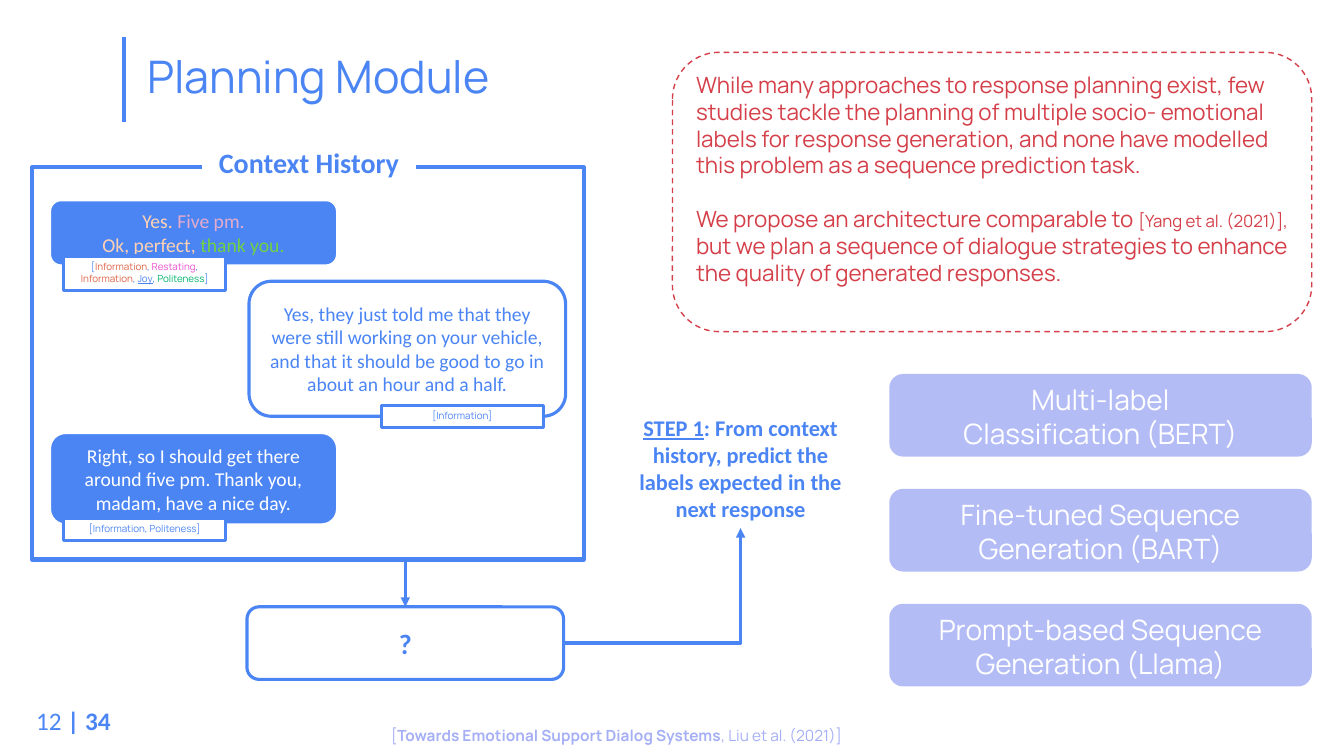
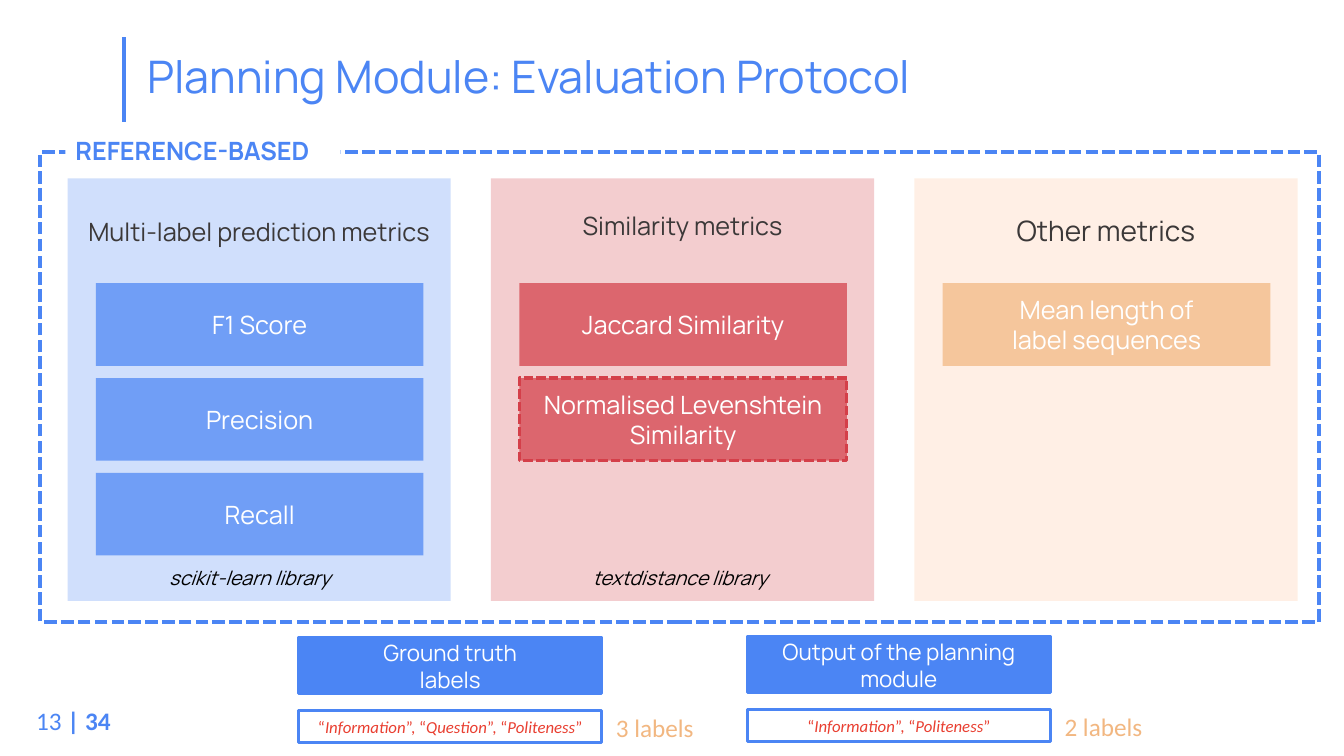
from lxml import etree
from pptx import Presentation
from pptx.dml.color import RGBColor
from pptx.enum import dml, shapes, text
from pptx.oxml.ns import qn
from pptx.util import Inches, Pt

# Shared look
BLUE, RED, PEACH, LILAC = "4B85F4", "D43F49", "F2B781", "A5AFF5"
WHITE, DARK, BLACK = "FFFFFF", "3B3838", "000000"
SANS, BODY = "Manrope", "Calibri"
TOTAL_PAGES = 34
RECT = shapes.MSO_SHAPE.RECTANGLE
ROUND = shapes.MSO_SHAPE.ROUNDED_RECTANGLE
LEFT, CENTER, JUSTIFY = (text.PP_ALIGN.LEFT, text.PP_ALIGN.CENTER,
                         text.PP_ALIGN.JUSTIFY)
TOP, MIDDLE = text.MSO_ANCHOR.TOP, text.MSO_ANCHOR.MIDDLE


def rgb(colour):
    return RGBColor.from_string(colour)


def inches(values):
    return [Inches(value) for value in values]


# Text
def add_span(para, words, size, font, colour, bold=False, italic=False,
             underline=False):
    """Add one run, or one run per line where the words hold line breaks."""
    for index, line in enumerate(words.split("\n")):
        if index:
            para.add_line_break()
        if not line:
            continue
        span = para.add_run()
        span.text = line
        style = span.font
        style.size, style.name = Pt(size), font
        style.color.rgb = rgb(colour)
        style.bold, style.italic, style.underline = bold, italic, underline


def write(shape, paras, size, font=BODY, colour=BLUE, align=CENTER,
          anchor=TOP, wrap=True, gap=0, inset_top=0.05, **style):
    """Paragraphs are lists of spans: plain words or (words, overrides)."""
    frame = shape.text_frame
    frame.word_wrap, frame.vertical_anchor = wrap, anchor
    frame.margin_top = Inches(inset_top)
    for index, spans in enumerate(paras):
        para = frame.paragraphs[0] if index == 0 else frame.add_paragraph()
        para.alignment = align if index == 0 or not gap else JUSTIFY
        if index and gap:
            para.space_before = Pt(gap)
        for span in spans:
            words, own = (span, {}) if isinstance(span, str) else span
            base = {"size": size, "font": font, "colour": colour, **style}
            add_span(para, words, **{**base, **own})


def add_label(page, at, spans, size, **style):
    """Single-line text box."""
    box = page.shapes.add_textbox(*inches(at))
    write(box, [spans], size, align=LEFT, wrap=False, **style)
    box.text_frame.auto_size = text.MSO_AUTO_SIZE.SHAPE_TO_FIT_TEXT


# Shapes and lines
def add_box(page, at, kind=RECT, fill=None, opacity=100, line=None,
            weight=2.25, dash=None):
    box = page.shapes.add_shape(kind, *inches(at))
    box.shadow.inherit = False
    if fill:
        box.fill.solid()
        box.fill.fore_color.rgb = rgb(fill)
        if opacity < 100:
            colour = box.element.spPr.find(qn("a:solidFill"))[0]
            alpha = etree.SubElement(colour, qn("a:alpha"))
            alpha.set("val", str(opacity * 1000))
    else:
        box.fill.background()
    if line:
        box.line.color.rgb = rgb(line)
        box.line.width = Pt(weight)
        if dash:
            box.line.dash_style = dash
    else:
        box.line.fill.background()
    return box


def add_line(page, start, end, kind=shapes.MSO_CONNECTOR.STRAIGHT,
             arrow=False):
    line = page.shapes.add_connector(kind, *inches(start + end))
    line.line.color.rgb = rgb(BLUE)
    line.line.width = Pt(2.25)
    properties = line.element.spPr
    if arrow:
        outline = properties.find(qn("a:ln"))
        etree.SubElement(outline, qn("a:tailEnd")).set("type", "triangle")
    etree.SubElement(properties, qn("a:effectLst"))
    return line


def add_page(deck, number, heading):
    """Page with the shared title, title rule and page number."""
    page = deck.slides.add_slide(deck.slide_layouts[5])
    title = page.shapes.title
    title.left, title.top, title.width, title.height = inches(
        (1.36, 0.06, 11.5, 1.45))
    write(title, [[heading]], 32, SANS, align=LEFT, anchor=MIDDLE)
    title.text_frame.auto_size = text.MSO_AUTO_SIZE.NONE
    title.text_frame.paragraphs[0].line_spacing = 0.9
    add_line(page, (1.23, 0.37), (1.23, 1.21))
    add_label(page, (0.26, 6.95, 0.99, 0.4),
              [f"{number} ", (f"| {TOTAL_PAGES}", {"bold": True})], 18)
    return page


# Planning page
def add_bubble(page, at, paras, filled):
    if filled:
        box = add_box(page, at, ROUND, BLUE, line=WHITE, weight=1)
    else:
        box = add_box(page, at, ROUND, WHITE, line=BLUE)
    write(box, paras, 14, colour=WHITE if filled else BLUE, anchor=MIDDLE)


def add_tag(page, left, top, spans, height=0.22):
    box = add_box(page, (left, top, 1.61, height), fill=WHITE, line=BLUE)
    write(box, [spans], 7, SANS)


def add_dialogue(page):
    add_box(page, (0.32, 1.66, 5.47, 3.89), line=BLUE, weight=3)
    heading = add_box(page, (2.01, 1.39, 2.11, 0.45), fill=WHITE, line=WHITE,
                      weight=1)
    write(heading, [["Context History"]], 20, bold=True)

    cream, pink, green = ({"colour": c} for c in ("FFD2B2", "E3ABCC", "70D141"))
    add_bubble(page, (0.5, 1.99, 2.84, 0.64), [
        [("Yes. ", cream), ("Five pm.", pink)],
        [("Ok, ", cream), ("perfect", {**cream, "underline": True}),
         (", ", cream), ("thank you.", green)],
    ], True)
    add_bubble(page, (2.47, 2.79, 3.14, 1.34), [[
        "Yes, they just told me that they were still working on your vehicle, "
        "and that it should be good to go in about an hour and a half."]], False)
    add_bubble(page, (0.5, 4.3, 2.84, 0.9), [[
        "Right, so I should get there around five pm. Thank you, madam, "
        "have a nice day."]], True)

    information = ("Information", {"colour": "DF6245"})
    add_tag(page, 0.63, 2.54, [
        "[", information, ", ", ("Restating", {"colour": "EC4DCE"}), ",\n",
        information, ", ", ("Joy", {"underline": True}), ", ",
        ("Politeness", {"colour": "00B26D"}), "]"], height=0.34)
    add_tag(page, 3.78, 4.02, ["[Information]"])
    add_tag(page, 0.63, 5.14, ["[Information, Politeness]"])


def add_flow(page):
    question = add_box(page, (2.45, 6.02, 3.14, 0.72), ROUND, WHITE, line=BLUE)
    write(question, [["?"]], 20, anchor=MIDDLE, bold=True)
    step = add_box(page, (6.22, 4.06, 2.25, 1.18), fill=WHITE)
    write(step, [[("STEP 1", {"underline": True}),
                  ": From context history, predict the labels expected in the "
                  "next response"]], 16, bold=True)
    down = add_line(page, (4.02, 5.54), (4.02, 6.02), arrow=True)
    down.end_connect(question, 0)
    bend = add_line(page, (5.59, 6.38), (7.35, 5.24),
                    shapes.MSO_CONNECTOR.ELBOW, arrow=True)
    bend.element.spPr.find(qn("a:prstGeom")).set("prst", "bentConnector2")
    bend.begin_connect(question, 3)
    bend.end_connect(step, 2)


def build_planning(deck):
    page = add_page(deck, 12, "Planning Module")
    add_dialogue(page)
    add_flow(page)

    # Candidate models
    models = ("Multi-label\nClassification (BERT)",
              "Fine-tuned Sequence Generation (BART)",
              "Prompt-based Sequence Generation (Llama)")
    for row, model in enumerate(models):
        box = add_box(page, (8.82, 3.71 + 1.14 * row, 4.19, 0.82), ROUND,
                      LILAC, 83)
        write(box, [[model]], 20, SANS, WHITE)

    # Motivation and citation
    motivation = add_box(page, (6.67, 0.52, 6.34, 2.77), ROUND, WHITE, 83, RED,
                         1, dml.MSO_LINE.DASH)
    write(motivation, [
        ["While many approaches to response planning exist, few studies tackle "
         "the planning of multiple socio- emotional labels for response "
         "generation, and none have modelled this problem as a sequence "
         "prediction task."],
        ["We propose an architecture comparable to ",
         ("[Yang et al. (2021)], ", {"size": 12}),
         "but we plan a sequence of dialogue strategies to enhance the quality "
         "of generated responses."],
    ], 16, SANS, RED, LEFT, gap=19)
    add_label(page, (3.78, 7.15, 4.98, 0.29), [
        "[", ("Towards Emotional Support Dialog Systems", {"bold": True}),
        ", Liu et al. (2021)]"], 11, font=SANS, colour=LILAC)


# Evaluation page
def add_metric_column(page, column, heading, size, inset, tint, card_fill,
                      metrics, outlined=None):
    left = 0.67 + 4.2 * column
    panel = add_box(page, (left, 1.77, 3.8, 4.19), fill=tint, opacity=26)
    write(panel, [[heading]], size, SANS, DARK, inset_top=inset)
    for row, metric in enumerate(metrics):
        edge = RED if metric == outlined else None
        card = add_box(page, (left + 0.28, 2.81 + 0.94 * row, 3.25, 0.82),
                       fill=card_fill, opacity=72, line=edge,
                       dash=dml.MSO_LINE.SQUARE_DOT)
        write(card, [[metric]], 18, SANS, WHITE, anchor=MIDDLE)


def add_example(page, left, top, heading, labels):
    """Heading, quoted label sequence and label count."""
    header = add_box(page, (left, top, 3.01, 0.55), fill=BLUE, line=BLUE)
    write(header, [[heading]], 16, SANS, WHITE, anchor=MIDDLE)
    sequence = add_box(page, (left, top + 0.72, 3.01, 0.32), fill=WHITE,
                       line=BLUE)
    spans = ["“"]
    for index, label in enumerate(labels):
        if index:
            spans.append("”, “")
        spans.append((label, {"italic": True}))
    write(sequence, [spans + ["”"]], 12, colour="E93F31", anchor=MIDDLE)
    add_label(page, (left + 3.05, top + 0.69, 0.98, 0.4),
              [f"{len(labels)} labels"], 18, colour=PEACH)


def build_evaluation(deck):
    page = add_page(deck, 13, "Planning Module: Evaluation Protocol")
    add_box(page, (0.4, 1.51, 12.68, 4.66), fill=WHITE, line=BLUE, weight=3,
            dash=dml.MSO_LINE.SQUARE_DOT)
    group = add_box(page, (0.65, 1.29, 2.73, 0.4), fill=WHITE)
    write(group, [["REFERENCE-BASED"]], 18, SANS, align=LEFT, bold=True)

    # Metric families
    levenshtein = "Normalised Levenshtein Similarity"
    add_metric_column(page, 0, "Multi-label prediction metrics", 18, 0.38,
                      BLUE, BLUE, ("F1 Score", "Precision", "Recall"))
    add_metric_column(page, 1, "Similarity metrics", 18, 0.32, RED, RED,
                      ("Jaccard Similarity", levenshtein), levenshtein)
    add_metric_column(page, 2, "Other metrics", 20, 0.35, "FFC49B", PEACH,
                      ("Mean length of\nlabel sequences",))
    for left, width, library in ((1.58, 1.98, "scikit-learn"),
                                 (5.78, 2.1, "textdistance")):
        add_label(page, (left, 5.57, width, 0.34), [f"{library} library"], 14,
                  font=SANS, colour=BLACK, italic=True)

    # Worked example
    add_example(page, 2.96, 6.33, "Ground truth\nlabels",
                ("Information", "Question", "Politeness"))
    add_example(page, 7.41, 6.32, "Output of the planning module",
                ("Information", "Politeness"))


def main():
    deck = Presentation()
    deck.slide_width, deck.slide_height = Inches(13.33), Inches(7.5)
    build_planning(deck)
    build_evaluation(deck)
    deck.save("out.pptx")


if __name__ == "__main__":
    main()
